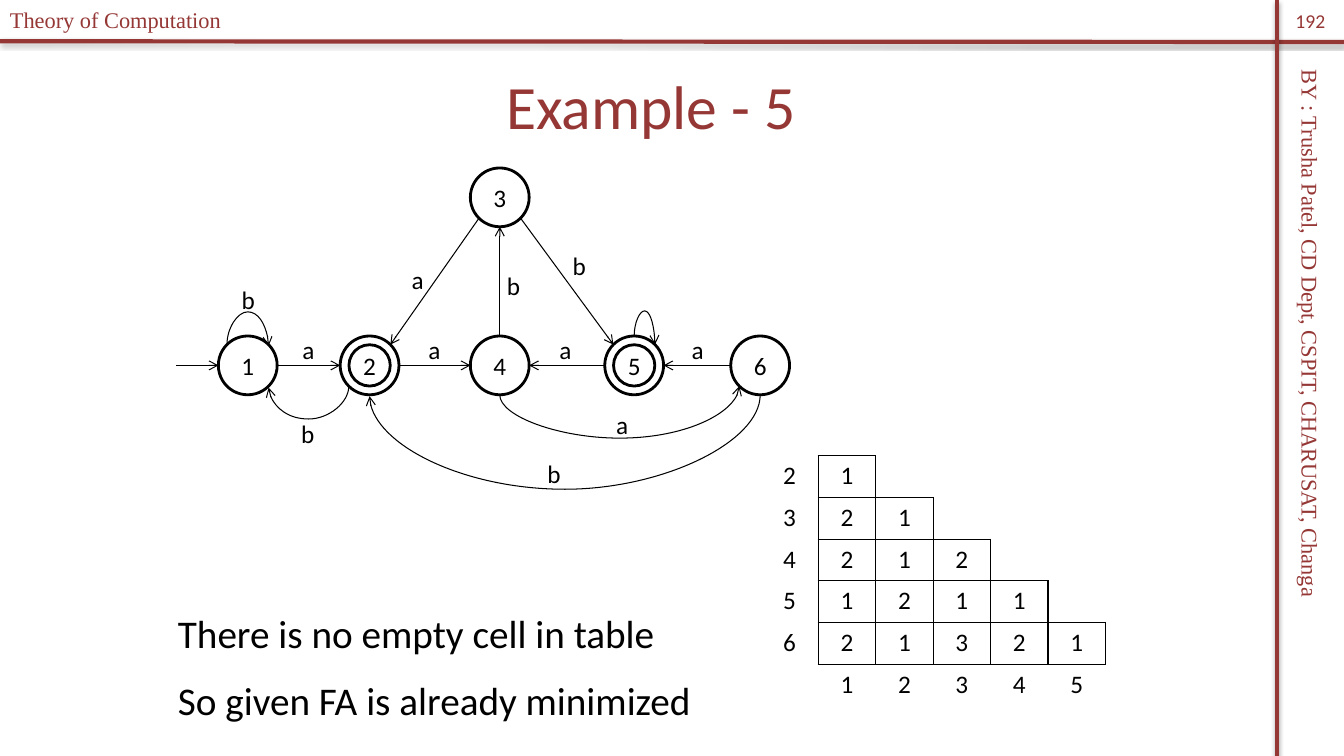
from lxml import etree
from pptx import Presentation
from pptx.dml.color import RGBColor
from pptx.enum.shapes import MSO_CONNECTOR, MSO_SHAPE
from pptx.enum.text import MSO_ANCHOR, PP_ALIGN
from pptx.oxml import parse_xml
from pptx.oxml.ns import nsdecls, qn
from pptx.util import Pt

STRAIGHT, CURVE = MSO_CONNECTOR.STRAIGHT, MSO_CONNECTOR.CURVE
LEFT, CENTER = PP_ALIGN.LEFT, PP_ALIGN.CENTER
TOP, MIDDLE = MSO_ANCHOR.TOP, MSO_ANCHOR.MIDDLE
MAROON = RGBColor(0x95, 0x37, 0x35)
BLACK = RGBColor(0, 0, 0)
WHITE = RGBColor(0xFF, 0xFF, 0xFF)
SERIF, SANS = "Times New Roman", "Calibri"

# Content
COURSE = "Theory of Computation"
AUTHOR = "BY : Trusha Patel, CD Dept, CSPIT, CHARUSAT, Changa"
TITLE = "Example - 5"
PAGE = "192"
CONCLUSION = ["There is no empty cell in table", "So given FA is already minimized"]

# State: centre in points
STATES = {"1": (177, 261), "2": (264, 261), "4": (357, 261),
          "5": (453, 261), "6": (543, 261), "3": (357, 141)}
FINAL_STATES = ["2", "5"]
DIAMETER, INNER_DIAMETER = 42, 29.5

# From state and side, to state and side
STRAIGHT_MOVES = [
    ("4", "N", "3", "S"), ("3", "SW", "2", "NE"), ("3", "SE", "5", "NW"),
    ("2", "E", "4", "W"), ("5", "W", "4", "E"), ("6", "W", "5", "E"),
    ("1", "E", "2", "W"),
]
# The same, then the height of the bend
CURVED_MOVES = [
    ("1", "NW", "1", "NE", 222.5), ("5", "N", "5", "NE", 222),
    ("4", "S", "6", "SW", 313), ("6", "S", "2", "S", 350),
    ("2", "SW", "1", "SE", 299.5),
]
# Left and top of each input symbol
SYMBOLS = {
    "a": [(299, 235), (209, 235), (433, 289), (487, 235), (287, 185), (392.5, 235)],
    "b": [(402, 175), (355, 189.5), (384, 324), (165.5, 199.5), (208, 295)],
}
TABLE_ROWS = [
    ["2", "1"],
    ["3", "2", "1"],
    ["4", "2", "1", "2"],
    ["5", "1", "2", "1", "1"],
    ["6", "2", "1", "3", "2", "1"],
    ["", "1", "2", "3", "4", "5"],
]


def write(frame, text, size=18, font=SANS, color=BLACK, align=LEFT, anchor=TOP, gap=0):
    """Fill a text frame with one string, or one paragraph per list item."""
    frame.word_wrap = True
    frame.vertical_anchor = anchor
    for index, line in enumerate([text] if isinstance(text, str) else text):
        paragraph = frame.add_paragraph() if index else frame.paragraphs[0]
        paragraph.alignment = align
        if index:
            paragraph.space_before = Pt(gap)
        run = paragraph.add_run()
        run.text = line
        run.font.size, run.font.name = Pt(size), font
        run.font.color.rgb = color


def add_text(slide, text, left, top, width, height, **text_format):
    box = slide.shapes.add_textbox(Pt(left), Pt(top), Pt(width), Pt(height))
    write(box.text_frame, text, **text_format)
    return box


def add_line(slide, kind, begin, end, color=BLACK, width=0.75):
    line = slide.shapes.add_connector(kind, *(Pt(value) for value in (*begin, *end)))
    line.line.color.rgb = color
    line.line.width = Pt(width)
    effects = etree.SubElement(line._element.spPr, qn("a:effectLst"))
    return line, effects


def add_rule(slide, begin, end):
    effects = add_line(slide, STRAIGHT, begin, end, MAROON, 3)[1]
    effects.append(parse_xml(
        f'<a:outerShdw {nsdecls("a")} blurRad="{Pt(3.1)}" dist="{Pt(1.8)}" dir="5400000" '
        'rotWithShape="0"><a:srgbClr val="000000"><a:alpha val="35000"/></a:srgbClr>'
        '</a:outerShdw>'))


def add_arrow(slide, kind, begin, end):
    line = add_line(slide, kind, begin, end)[0]
    etree.SubElement(line.line._get_or_add_ln(), qn("a:tailEnd"), type="arrow")
    return line


def add_bend(slide, begin, end, bend):
    """Draw a curve that leaves and arrives vertically: a connector turned by 90 degrees."""
    across, down = end[0] - begin[0], (end[1] - begin[1]) or 1
    x, y = (begin[0] + end[0]) / 2, begin[1] + down / 2
    line = add_arrow(slide, CURVE, (x - down / 2, y + across / 2),
                     (x + down / 2, y - across / 2))
    properties = line._element.spPr
    properties.find(qn("a:xfrm")).set("rot", "5400000")
    adjust = round((bend - begin[1]) / down * 100000)
    guides = properties.find(qn("a:prstGeom")).find(qn("a:avLst"))
    etree.SubElement(guides, qn("a:gd"), name="adj1", fmla=f"val {adjust}")


def add_circle(slide, center, diameter):
    left, top = (value - diameter / 2 for value in center)
    circle = slide.shapes.add_shape(MSO_SHAPE.OVAL, Pt(left), Pt(top), Pt(diameter), Pt(diameter))
    circle.shadow.inherit = False
    circle.line.color.rgb = BLACK
    circle.line.width = Pt(2)
    return circle


def side_point(state, side):
    reach = DIAMETER / 2 * (0.5 ** 0.5 if len(side) == 2 else 1)
    x, y = STATES[state]
    return (x + reach * (("E" in side) - ("W" in side)),
            y + reach * (("S" in side) - ("N" in side)))


def is_boxed(row, column):
    return 0 <= row < len(TABLE_ROWS) - 1 and 1 <= column <= row + 1


def set_borders(cell, row, column):
    neighbours = {"L": (row, column - 1), "R": (row, column + 1),
                  "T": (row - 1, column), "B": (row + 1, column)}
    properties = cell._tc.get_or_add_tcPr()
    for index, (edge, neighbour) in enumerate(neighbours.items()):
        drawn = is_boxed(row, column) or is_boxed(*neighbour)
        fill = (f'<a:solidFill><a:srgbClr val="{BLACK}"/></a:solidFill>' if drawn
                else "<a:noFill/>")
        properties.insert(index, parse_xml(
            f'<a:ln{edge} {nsdecls("a")} w="{Pt(1)}">{fill}</a:ln{edge}>'))


def add_distinction_table(slide):
    count = len(TABLE_ROWS)
    table = slide.shapes.add_table(count, count, Pt(543.5), Pt(325.5),
                                   Pt(246.24), Pt(178.8)).table
    table.first_row = table.horz_banding = False
    for row, values in enumerate(TABLE_ROWS):
        for column in range(count):
            cell = table.cell(row, column)
            cell.fill.background()
            set_borders(cell, row, column)
            if column < len(values) and values[column]:
                write(cell.text_frame, values[column], align=CENTER)


def main():
    presentation = Presentation()
    presentation.slide_width, presentation.slide_height = Pt(960), Pt(540)
    slide = presentation.slides.add_slide(presentation.slide_layouts[5])

    # Frame: rules, course, author, page number
    add_rule(slide, (0, 29.5), (960, 30))
    add_rule(slide, (912, 0), (912, 540))
    serif = dict(size=16, font=SERIF, color=MAROON)
    add_text(slide, AUTHOR, 705, 260.5, 462, 26.6, **serif).rotation = 90
    add_text(slide, COURSE, 0, 0.5, 237, 26.6, **serif)
    add_text(slide, PAGE, 912, 0, 48, 29, size=14, color=MAROON, align=CENTER, anchor=MIDDLE)

    # Title
    title = slide.shapes.title
    title.left, title.top, title.width, title.height = Pt(132), Pt(30), Pt(666), Pt(90)
    write(title.text_frame, TITLE, size=44, color=MAROON, align=CENTER, anchor=MIDDLE)

    # States of the automaton
    for name, center in STATES.items():
        circle = add_circle(slide, center, DIAMETER)
        circle.fill.solid()
        circle.fill.fore_color.rgb = WHITE
        write(circle.text_frame, name, align=CENTER, anchor=MIDDLE)
    for name in FINAL_STATES:
        add_circle(slide, STATES[name], INNER_DIAMETER).fill.background()

    # Transitions and their symbols
    add_arrow(slide, STRAIGHT, (126, 261), side_point("1", "W"))
    for source, leave, target, arrive in STRAIGHT_MOVES:
        add_arrow(slide, STRAIGHT, side_point(source, leave), side_point(target, arrive))
    for source, leave, target, arrive, bend in CURVED_MOVES:
        add_bend(slide, side_point(source, leave), side_point(target, arrive), bend)
    for symbol, places in SYMBOLS.items():
        for left, top in places:
            add_text(slide, symbol, left, top, 24.5, 29)

    # Table and conclusion
    add_distinction_table(slide)
    add_text(slide, CONCLUSION, 120, 431.5, 386, 90, size=28, gap=14.5)

    presentation.save("out.pptx")


if __name__ == "__main__":
    main()
